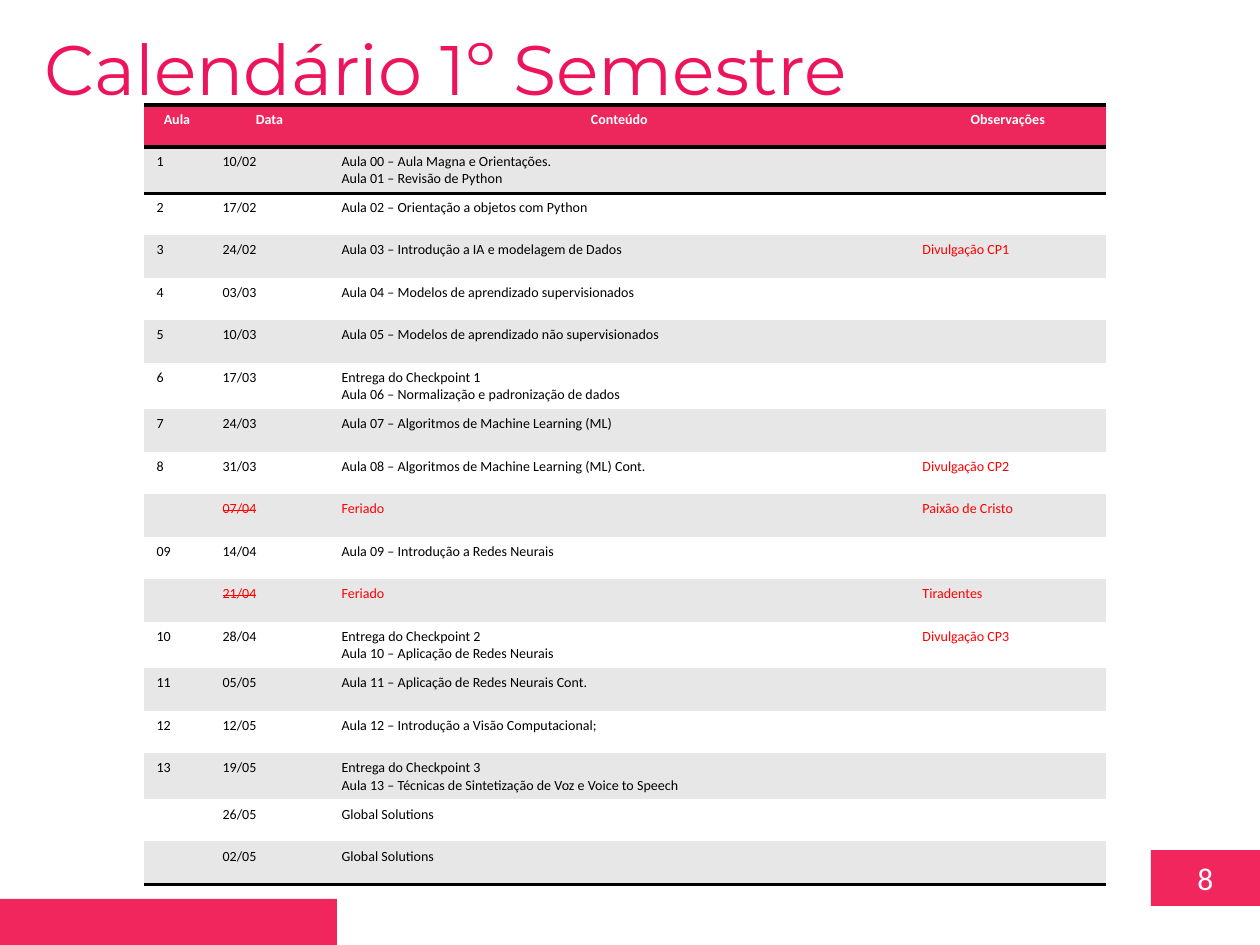
"""Build the first-semester class calendar slide."""
import dataclasses

import lxml.etree
import pptx
import pptx.dml.color
import pptx.enum.shapes
import pptx.enum.text
import pptx.oxml.ns
import pptx.util

EMU_PER_PX = 914400 // 126
HOLIDAY = "Feriado"
NO_GRID_STYLE = "{2D5ABB26-0587-4C30-8999-92F81FD0307C}"
COLUMN_WIDTHS = (66, 119, 581, 196)
HEADER = ("Aula", "Data", "Conteúdo", "Observações")
LESSONS = (
    ("1", "10/02", "Aula 00 – Aula Magna e Orientações.\nAula 01 – Revisão de Python", ""),
    ("2", "17/02", "Aula 02 – Orientação a objetos com Python", ""),
    ("3", "24/02", "Aula 03 – Introdução a IA e modelagem de Dados", "Divulgação CP1"),
    ("4", "03/03", "Aula 04 – Modelos de aprendizado supervisionados", ""),
    ("5", "10/03", "Aula 05 – Modelos de aprendizado não supervisionados", ""),
    ("6", "17/03", "Entrega do Checkpoint 1\nAula 06 – Normalização e padronização de dados", ""),
    ("7", "24/03", "Aula 07 – Algoritmos de Machine Learning (ML)", ""),
    ("8", "31/03", "Aula 08 – Algoritmos de Machine Learning (ML) Cont.", "Divulgação CP2"),
    ("", "07/04", HOLIDAY, "Paixão de Cristo"),
    ("09", "14/04", "Aula 09 – Introdução a Redes Neurais", ""),
    ("", "21/04", HOLIDAY, "Tiradentes"),
    ("10", "28/04", "Entrega do Checkpoint 2\nAula 10 – Aplicação de Redes Neurais", "Divulgação CP3"),
    ("11", "05/05", "Aula 11 – Aplicação de Redes Neurais Cont.", ""),
    ("12", "12/05", "Aula 12 – Introdução a Visão Computacional;", ""),
    ("13", "19/05", "Entrega do Checkpoint 3\nAula 13 – Técnicas de Sintetização de Voz e Voice to Speech", ""),
    ("", "26/05", "Global Solutions", ""),
    ("", "02/05", "Global Solutions", ""),
)


@dataclasses.dataclass(frozen=True)
class Theme:
    """Colours, fonts and type sizes of the slide."""
    accent: str = "F0265D"
    header: str = "ED265B"
    title: str = "ED145B"
    band: str = "E7E7E7"
    white: str = "FFFFFF"
    black: str = "000000"
    alert: str = "FF0000"
    title_font: str = "Montserrat"
    body_font: str = "Calibri"
    title_size: int = 40
    number_size: int = 18
    table_size: int = 8
    rule_width: int = 2


THEME = Theme()


def px(*lengths):
    """Turn whole pixels into EMU lengths."""
    return [pptx.util.Emu(length * EMU_PER_PX) for length in lengths]


def rgb(colour):
    """Return the colour object of a hex string."""
    return pptx.dml.color.RGBColor.from_string(colour)


def set_attributes(target, values):
    """Set attributes of an object from a dict."""
    for name, value in values.items():
        setattr(target, name, value)


def write_text(frame, text, size, colour, font=THEME.body_font, bold=False, align=None):
    """Fill a text frame with evenly formatted paragraphs."""
    frame.text = text
    values = {"name": font, "size": pptx.util.Pt(size), "bold": bold}
    for paragraph in frame.paragraphs:
        paragraph.alignment = align
        for run in paragraph.runs:
            set_attributes(run.font, values)
            run.font.color.rgb = rgb(colour)


def add_block(slide, *box):
    """Add a plain accent rectangle."""
    shape = slide.shapes.add_shape(pptx.enum.shapes.MSO_SHAPE.RECTANGLE, *px(*box))
    shape.shadow.inherit = False
    shape.fill.solid()
    shape.fill.fore_color.rgb = rgb(THEME.accent)
    shape.line.fill.background()
    return shape


def add_page_number(slide, number):
    """Add the page number on its accent block."""
    frame = add_block(slide, 1151, 850, 109, 56).text_frame
    frame.vertical_anchor = pptx.enum.text.MSO_ANCHOR.MIDDLE
    write_text(frame, number, THEME.number_size, THEME.white,
               align=pptx.enum.text.PP_ALIGN.CENTER)


def add_title(slide, text):
    """Add the slide title."""
    frame = slide.shapes.add_textbox(*px(32, 19, 872, 97)).text_frame
    set_attributes(frame, {"word_wrap": True,
                           "auto_size": pptx.enum.text.MSO_AUTO_SIZE.SHAPE_TO_FIT_TEXT})
    write_text(frame, text, THEME.title_size, THEME.title, THEME.title_font)


def add_rule(cell, side):
    """Draw a black rule on one side of a cell."""
    qualify = pptx.oxml.ns.qn
    line = lxml.etree.SubElement(cell._tc.get_or_add_tcPr(), qualify(f"a:ln{side}"),
                                 w=str(pptx.util.Pt(THEME.rule_width)))
    fill = lxml.etree.SubElement(line, qualify("a:solidFill"))
    lxml.etree.SubElement(fill, qualify("a:srgbClr"), val=THEME.black)


def fill_cell(cell, text, background, sides, **style):
    """Give a cell its rules, background and text."""
    for side in sides:
        add_rule(cell, side)
    cell.fill.solid()
    cell.fill.fore_color.rgb = rgb(background)
    write_text(cell.text_frame, text, THEME.table_size, **style)
    if not text:
        end = lxml.etree.SubElement(cell.text_frame.paragraphs[0]._p,
                                    pptx.oxml.ns.qn("a:endParaRPr"))
        end.set("sz", str(THEME.table_size * 100))


def fill_lesson(table, row, lesson):
    """Fill one banded lesson row, in red for holidays."""
    holiday = HOLIDAY in lesson
    background = THEME.band if row % 2 else THEME.white
    sides = ("T" if row == 1 else "") + ("B" if row == len(LESSONS) else "")
    for column, text in enumerate(lesson):
        alert = holiday or column == 3
        cell = table.cell(row, column)
        fill_cell(cell, text, background, sides,
                  colour=THEME.alert if alert else THEME.black)
        if holiday and column == 1:
            run = cell.text_frame.paragraphs[0].runs[0]
            run._r.get_or_add_rPr().set("strike", "sngStrike")


def add_calendar(slide):
    """Add the calendar table."""
    row_count = len(LESSONS) + 1
    frame = slide.shapes.add_table(row_count, len(HEADER),
                                   *px(144, 105, sum(COLUMN_WIDTHS), 765))
    table = frame.table
    set_attributes(table, {"first_row": False, "horz_banding": False})
    table._tbl.tblPr.find(pptx.oxml.ns.qn("a:tableStyleId")).text = NO_GRID_STYLE
    for column, width in zip(table.columns, px(*COLUMN_WIDTHS)):
        column.width = width
    for index, row in enumerate(table.rows):
        row.height = px(42 + index % 2)[0]
    for column, text in enumerate(HEADER):
        fill_cell(table.cell(0, column), text, THEME.header, "TB", colour=THEME.white,
                  bold=True, align=pptx.enum.text.PP_ALIGN.CENTER)
    for row, lesson in enumerate(LESSONS, 1):
        fill_lesson(table, row, lesson)


def main():
    """Build and save the presentation."""
    presentation = pptx.Presentation()
    width, height = px(1260, 945)
    set_attributes(presentation, {"slide_width": width, "slide_height": height})
    slide = presentation.slides.add_slide(presentation.slide_layouts[6])
    add_page_number(slide, "8")
    add_block(slide, 0, 899, 337, 46)
    add_title(slide, "Calendário 1º Semestre")
    add_calendar(slide)
    presentation.save("out.pptx")


if __name__ == "__main__":
    main()
